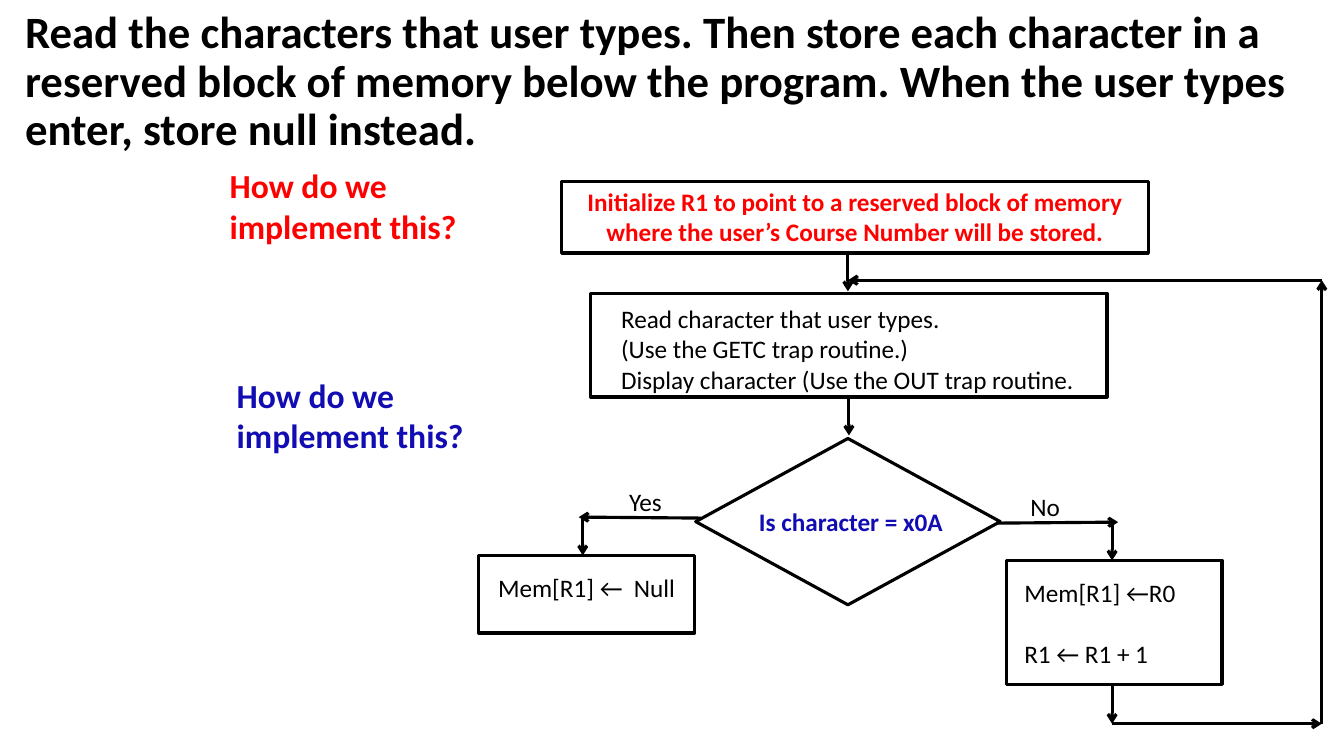
from lxml import etree
from pptx import Presentation
from pptx import util as u
from pptx.dml.color import RGBColor
from pptx.enum import shapes, text
from pptx.oxml import ns

PX = 9144  # EMU in one px, 100 px to the inch
FONT = "Calibri"
COLORS = {"ink": "000000", "paper": "FFFFFF", "red": "FF0000", "blue": "110DB3"}
LEFT, MID = text.PP_ALIGN.LEFT, text.PP_ALIGN.CENTER
TOP, CENTER = text.MSO_ANCHOR.TOP, text.MSO_ANCHOR.MIDDLE


def emu(*px):
    return [u.Emu(n * PX) for n in px]


def rgb(name):
    return RGBColor.from_string(COLORS[name])


def write(shape, lines, size=18, color="ink", bold=False, align=LEFT,
          anchor=TOP, inset=(10, 5, 10, 5), wrap=True, gap=0, pitch=None):
    frame = shape.text_frame
    frame.word_wrap = wrap
    frame.vertical_anchor = anchor
    (frame.margin_left, frame.margin_top,
     frame.margin_right, frame.margin_bottom) = emu(*inset)
    for i, line in enumerate(lines):
        para = frame.add_paragraph() if i else frame.paragraphs[0]
        para.alignment = align
        if pitch:
            para.line_spacing = pitch
        if i and gap:
            para.space_before = u.Pt(gap)
        run = para.add_run()
        run.text = line
        font = run.font
        font.name, font.size, font.bold = FONT, u.Pt(size), bold
        font.color.rgb = rgb(color)


def label(slide, box, lines, **style):
    write(slide.shapes.add_textbox(*emu(*box)), lines, **style)


def node(slide, kind, box, lines, **style):
    shape = slide.shapes.add_shape(kind, *emu(*box))
    shape.shadow.inherit = False
    shape.fill.solid()
    shape.fill.fore_color.rgb = rgb("paper")
    shape.line.color.rgb = rgb("ink")
    shape.line.width = u.Pt(2.25)
    write(shape, lines, **style)


def arrow(slide, *ends):
    link = slide.shapes.add_connector(shapes.MSO_CONNECTOR.STRAIGHT, *emu(*ends))
    link.line.color.rgb = rgb("ink")
    link.line.width = u.Pt(2.25)
    head = etree.SubElement(link.line._get_or_add_ln(), ns.qn("a:tailEnd"))
    head.set("type", "arrow")
    etree.SubElement(link._element.spPr, ns.qn("a:effectLst"))


def title(slide, box):
    label(slide, box, [
        "Read the characters that user types. Then store each character in a "
        "reserved block of memory below the program. When the user types "
        "enter, store null instead."],
        size=32, bold=True, anchor=CENTER, pitch=0.9)


def query(slide, box, color):
    label(slide, box, ["How do we implement this?"],
          size=24, color=color, bold=True)


def flow(slide, x, y):
    rect, diamond = shapes.MSO_SHAPE.RECTANGLE, shapes.MSO_SHAPE.DIAMOND

    # Steps
    node(slide, rect, (x + 82, y, 582, 71), [
        "Initialize R1 to point to a reserved block of memory where the "
        "user’s Course Number will be stored."],
        color="red", bold=True, align=MID)
    node(slide, rect, (x + 111, y + 111, 512, 103), [
        "Read character that user types.",
        "(Use the GETC trap routine.)",
        "Display character (Use the OUT trap routine."],
        inset=(30, 10, 10, 0))
    node(slide, diamond, (x + 215, y + 255, 302, 165), ["Is character = x0A"],
         color="blue", bold=True, align=MID, anchor=CENTER,
         inset=(6, 0, 0, 0), wrap=False)
    node(slide, rect, (x, y + 371, 214, 77), ["Mem[R1] ←  Null"],
         inset=(19, 17, 5, 0))
    node(slide, rect, (x + 523, y + 376, 214, 123),
         ["Mem[R1] ←R0", "R1 ← R1 + 1"], inset=(18, 17, 5, 0), gap=22)

    # Branch names
    label(slide, (x + 139, y + 298, 79, 40), ["Yes"])
    label(slide, (x + 537, y + 303, 79, 40), ["No"])

    # Arrows down, 38 px each
    for left, top in ((366, 71), (367, 214), (103, 333), (628, 338), (628, 500)):
        arrow(slide, x + left, y + top, x + left, y + top + 38)

    # Arrows out of the decision
    arrow(slide, x + 220, y + 334, x + 99, y + 333)
    arrow(slide, x + 513, y + 339, x + 634, y + 338)

    # Loop back to the read step
    turns = [(628, 538), (836, 538), (836, 98), (366, 98)]
    for (ax, ay), (bx, by) in zip(turns, turns[1:]):
        arrow(slide, x + ax, y + ay, x + bx, y + by)


def main():
    deck = Presentation()
    deck.slide_width, deck.slide_height = emu(1333, 750)
    slide = deck.slides.add_slide(deck.slide_layouts[6])
    title(slide, (15, 4, 1304, 156))
    flow(slide, 475, 180)
    query(slide, (218, 159, 286, 91), "red")
    query(slide, (225, 367, 286, 91), "blue")
    deck.save("out.pptx")


if __name__ == "__main__":
    main()
